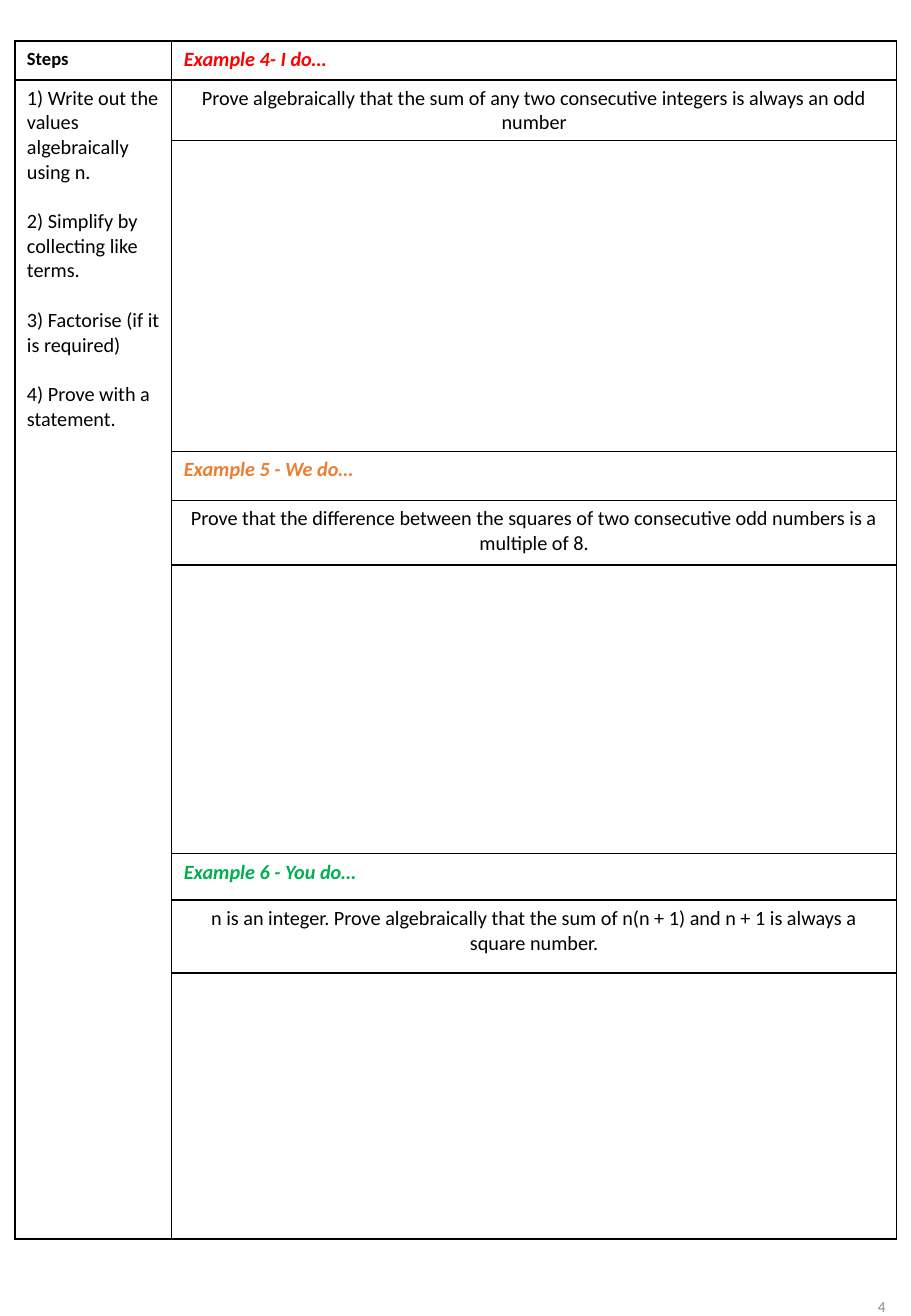
from dataclasses import dataclass

from lxml.etree import SubElement
from pptx import Presentation
from pptx.dml.color import RGBColor
from pptx.enum.text import MSO_ANCHOR, PP_ALIGN
from pptx.oxml.ns import qn
from pptx.util import Cm, Pt


@dataclass(frozen=True)
class Theme:
    """Colours, font and type sizes of the worksheet."""
    font: str = "Calibri"
    ink: str = "000000"
    paper: str = "FFFFFF"
    muted: str = "8C8C8C"
    i_do: str = "FF0000"
    we_do: str = "ED7D31"
    you_do: str = "00B050"
    body: float = 12
    heading: float = 11
    number: float = 9
    step_gap: float = 14.65
    border: float = 1


THEME = Theme()

STEPS = [
    "1) Write out the values algebraically using n.",
    "2) Simplify by collecting like terms.",
    "3) Factorise (if it is required)",
    "4) Prove with a statement.",
]

EXAMPLES = [
    ("Example 4- I do…", THEME.i_do,
     "Prove algebraically that the sum of any two consecutive integers is always an odd number"),
    ("Example 5 - We do…", THEME.we_do,
     "Prove that the difference between the squares of two consecutive odd numbers is a multiple of 8."),
    ("Example 6 - You do…", THEME.you_do,
     "n is an integer. Prove algebraically that the sum of n(n + 1) and n + 1 is always a square number."),
]

COLUMN_WIDTHS = [3.28, 15.16]
ROW_HEIGHTS = [0.81, 1.27, 6.5, 1.02, 1.35, 6.04, 0.97, 1.53, 5.56]


def write(frame, lines, size, colour=THEME.ink, bold=False, italic=False,
          align=PP_ALIGN.LEFT, gap=0):
    """Fill a text frame with one paragraph per line and format its runs."""
    frame.text = "\n".join(lines)
    for position, paragraph in enumerate(frame.paragraphs):
        paragraph.alignment = align
        if position and gap:
            paragraph.space_before = Pt(gap)
        for run in paragraph.runs:
            run.font.name = THEME.font
            run.font.size = Pt(size)
            run.font.bold = bold
            run.font.italic = italic
            run.font.color.rgb = RGBColor.from_string(colour)


def style_cell(cell):
    """Give a cell four ruled edges and a plain fill."""
    properties = cell._tc.get_or_add_tcPr()
    for edge in ("a:lnL", "a:lnR", "a:lnT", "a:lnB"):
        line = SubElement(properties, qn(edge), w=str(Pt(THEME.border)))
        SubElement(SubElement(line, qn("a:solidFill")), qn("a:srgbClr"), val=THEME.ink)
    cell.fill.solid()
    cell.fill.fore_color.rgb = RGBColor.from_string(THEME.paper)


def add_worksheet(slide, left, top, width, height):
    """Draw the steps column beside the worked examples."""
    table = slide.shapes.add_table(
        len(ROW_HEIGHTS), len(COLUMN_WIDTHS), left, top, width, height).table
    table.first_row = table.horz_banding = False
    for column, share in zip(table.columns, COLUMN_WIDTHS):
        column.width = int(width * share / sum(COLUMN_WIDTHS))
    for row, share in zip(table.rows, ROW_HEIGHTS):
        row.height = int(height * share / sum(ROW_HEIGHTS))
    for cell in table.iter_cells():
        style_cell(cell)

    table.cell(1, 0).merge(table.cell(len(ROW_HEIGHTS) - 1, 0))
    write(table.cell(0, 0).text_frame, ["Steps"], THEME.heading, bold=True)
    write(table.cell(1, 0).text_frame, STEPS, THEME.body, gap=THEME.step_gap)
    rows_each = len(ROW_HEIGHTS) // len(EXAMPLES)
    for index, (title, colour, question) in enumerate(EXAMPLES):
        title_row = index * rows_each
        write(table.cell(title_row, 1).text_frame, [title], THEME.body,
              colour, bold=True, italic=True)
        write(table.cell(title_row + 1, 1).text_frame, [question], THEME.body,
              align=PP_ALIGN.CENTER)


def add_page_number(slide, left, top, width, height):
    """Place the page number at the right of its box."""
    frame = slide.shapes.add_textbox(left, top, width, height).text_frame
    frame.word_wrap = True
    frame.vertical_anchor = MSO_ANCHOR.MIDDLE
    write(frame, ["4"], THEME.number, THEME.muted, align=PP_ALIGN.RIGHT)


def main():
    """Build the page and save it."""
    deck = Presentation()
    deck.slide_width, deck.slide_height = Cm(19.05), Cm(27.51)
    slide = deck.slides.add_slide(deck.slide_layouts[6])
    add_page_number(slide, Cm(14.48), Cm(26.57), Cm(4.29), Cm(1.47))
    add_worksheet(slide, Cm(0.31), Cm(0.86), Cm(sum(COLUMN_WIDTHS)), Cm(sum(ROW_HEIGHTS)))
    deck.save("out.pptx")


if __name__ == "__main__":
    main()
